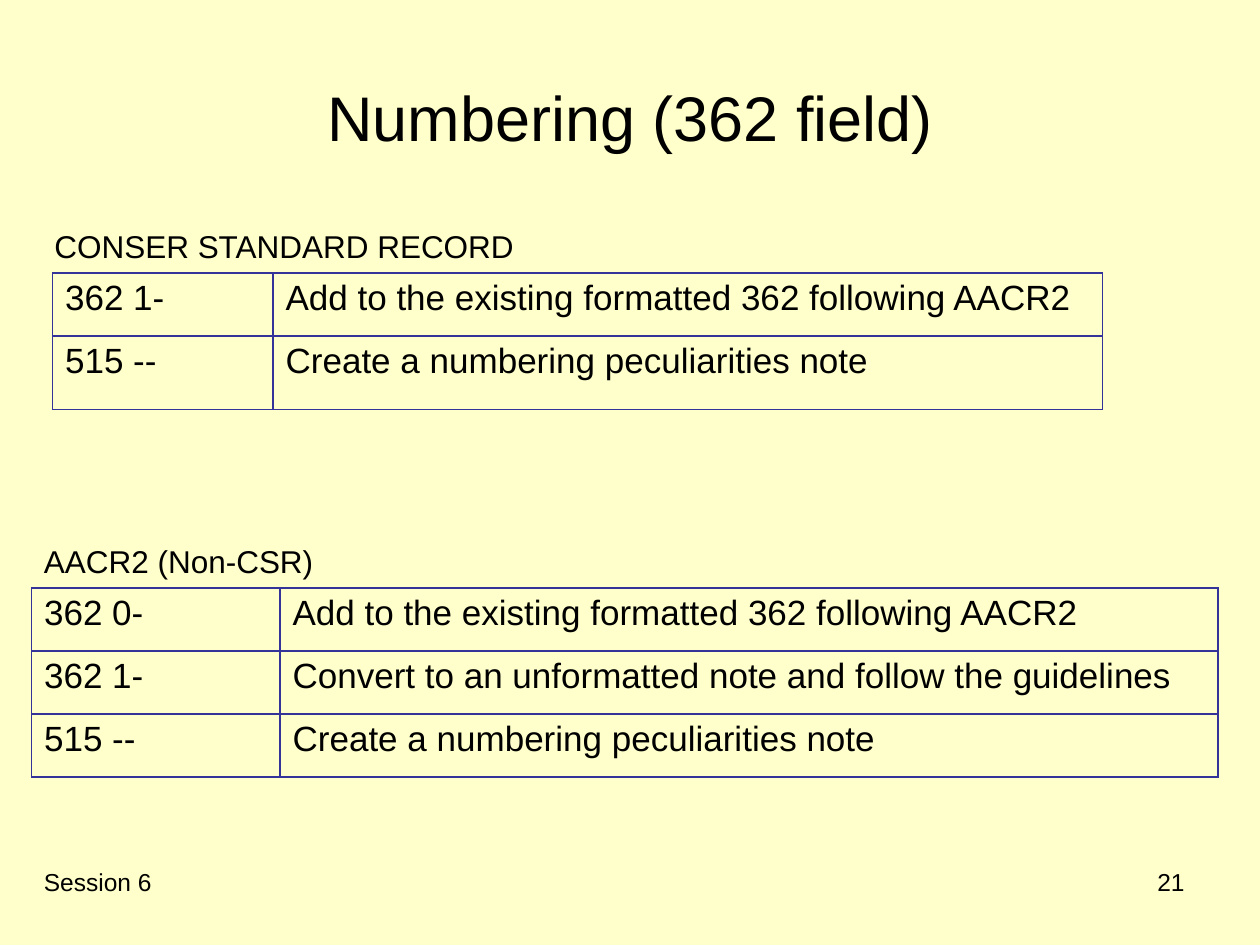
from lxml.etree import SubElement as add_element
from pptx import Presentation
from pptx.dml.color import RGBColor as Color
from pptx.enum.text import MSO_ANCHOR as Anchor, MSO_AUTO_SIZE as AutoSize, PP_ALIGN as Align
from pptx.oxml.ns import qn
from pptx.util import Pt

COLORS = {"page": "FFFFCC", "text": "000000", "border": "333399"}
TITLE = ("Numbering (362 field)", (36, 21.6, 648, 90))
LABELS = [
    ("CONSER STANDARD RECORD", (24, 126, 390, 28.8), 18, Align.LEFT),
    ("AACR2 (Non-CSR)", (18, 306, 312, 28.8), 18, Align.LEFT),
    ("Session 6", (18, 492, 228, 37.5), 14, Align.LEFT),
    ("21", (516, 492, 168, 37.5), 14, Align.RIGHT),
]
TABLES = [
    {
        "corner": (18, 336),
        "widths": (142, 536),
        "heights": (36, 36, 36),
        "rows": [
            ("362 0-", "Add to the existing formatted 362 following AACR2"),
            ("362 1-", "Convert to an unformatted note and follow the guidelines"),
            ("515 --", "Create a numbering peculiarities note"),
        ],
    },
    {
        "corner": (30, 156),
        "widths": (126, 474),
        "heights": (36, 42),
        "rows": [
            ("362 1-", "Add to the existing formatted 362 following AACR2"),
            ("515 --", "Create a numbering peculiarities note"),
        ],
    },
]


def set_all(target, values):
    """Set every attribute named in values on the target."""
    for name, value in values.items():
        setattr(target, name, value)


def write(frame, text, size, align=Align.LEFT):
    """Write one formatted paragraph into a text frame."""
    frame.text = text
    para = frame.paragraphs[0]
    set_all(para, {"alignment": align, "space_before": Pt(0)})
    span = para.runs[0]
    set_all(span.font, {"name": "Arial", "size": Pt(size), "bold": False})
    span.font.color.rgb = Color.from_string(COLORS["text"])


def add_borders(cell):
    """Draw a thin line on each side of a cell."""
    properties = cell._tc.get_or_add_tcPr()
    for side in ("lnL", "lnR", "lnT", "lnB"):
        line = add_element(properties, qn(f"a:{side}"), w=str(Pt(0.75)))
        fill = add_element(line, qn("a:solidFill"))
        add_element(fill, qn("a:srgbClr"), val=COLORS["border"])


def add_grid(page, corner, widths, heights, rows):
    """Add a bordered, unfilled table."""
    bounds = map(Pt, (*corner, sum(widths), sum(heights)))
    table = page.shapes.add_table(len(rows), len(widths), *bounds).table
    set_all(table, {"first_row": False, "horz_banding": False})
    for column, width in zip(table.columns, widths):
        column.width = Pt(width)
    for row, height, texts in zip(table.rows, heights, rows):
        row.height = Pt(height)
        for cell, text in zip(row.cells, texts):
            write(cell.text_frame, text, 20)
            add_borders(cell)
            cell.fill.background()


def main():
    """Build and save the numbering slide."""
    deck = Presentation()
    set_all(deck, {"slide_width": Pt(720), "slide_height": Pt(540)})
    page = deck.slides.add_slide(deck.slide_layouts[5])
    page.background.fill.solid()
    page.background.fill.fore_color.rgb = Color.from_string(COLORS["page"])

    text, bounds = TITLE
    title = page.shapes.title
    set_all(title, dict(zip(("left", "top", "width", "height"), map(Pt, bounds))))
    set_all(title.text_frame, {"vertical_anchor": Anchor.MIDDLE, "auto_size": AutoSize.NONE})
    write(title.text_frame, text, 36, Align.CENTER)

    for grid in TABLES:
        add_grid(page, **grid)
    for text, bounds, size, align in LABELS:
        box = page.shapes.add_textbox(*map(Pt, bounds))
        box.text_frame.word_wrap = True
        write(box.text_frame, text, size, align)
    deck.save("out.pptx")


if __name__ == "__main__":
    main()
